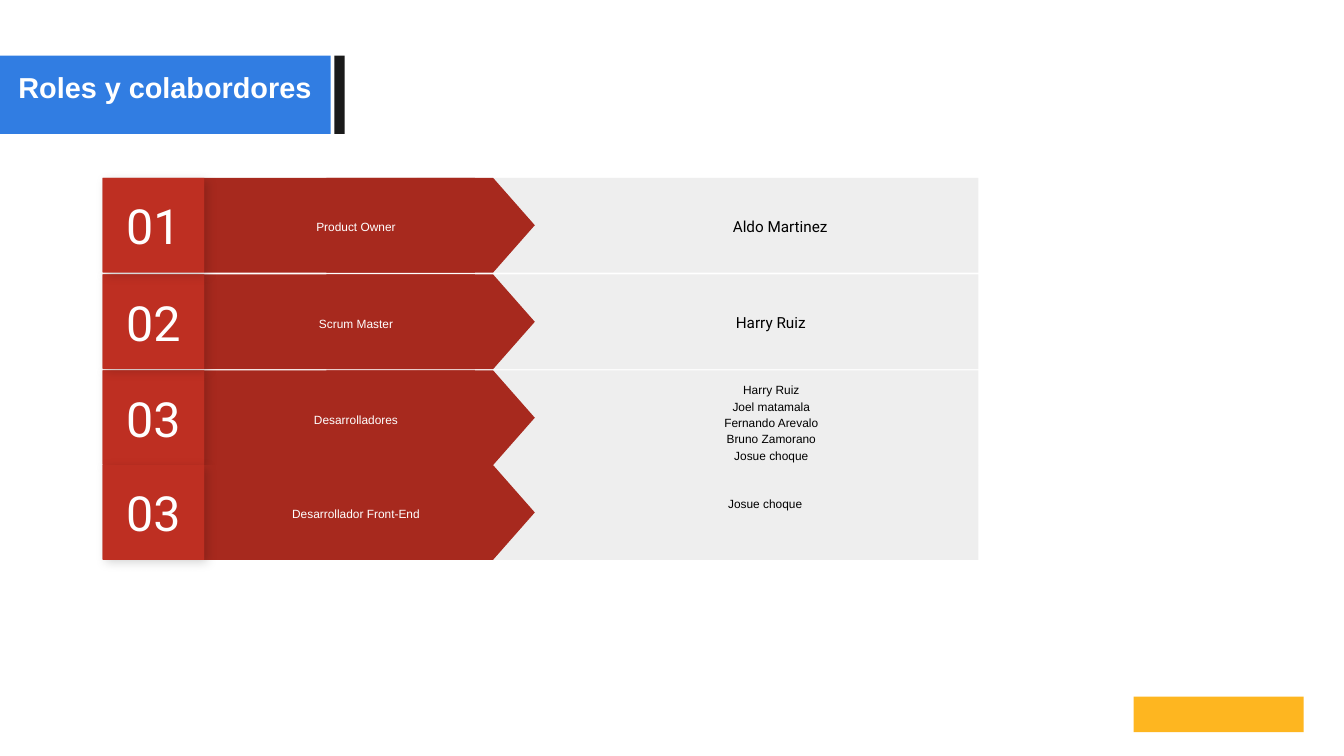
from dataclasses import dataclass

from lxml import etree
from pptx import Presentation
from pptx.dml.color import RGBColor
from pptx.enum.shapes import MSO_SHAPE
from pptx.enum.text import MSO_ANCHOR, PP_ALIGN
from pptx.oxml.ns import qn
from pptx.util import Inches, Pt

BLUE = RGBColor(0x31, 0x7D, 0xE2)
CHARCOAL = RGBColor(0x1A, 0x1A, 0x1A)
YELLOW = RGBColor(0xFE, 0xB6, 0x20)
DARK_RED = RGBColor(0xA7, 0x29, 0x1E)
SHADED_RED = RGBColor(0xB0, 0x2B, 0x20)
RED = RGBColor(0xBE, 0x2F, 0x22)
GREY = RGBColor(0xEE, 0xEE, 0xEE)
WHITE = RGBColor(0xFF, 0xFF, 0xFF)
BLACK = RGBColor(0x00, 0x00, 0x00)

ROW_HEIGHT = 1.55
NUMBER_LEFT, NUMBER_WIDTH = 1.68, 1.66
PADDING = 0.22


@dataclass
class Role:
    top: float
    number: str
    label: str
    people: list
    people_box: tuple
    people_font: str = "Arial"
    people_size: int = 14
    people_align: PP_ALIGN = PP_ALIGN.CENTER


# Listed from back to front; each row's shadow falls on the rows before it.
ROLES = [
    Role(6.06, "03", "Desarrolladores",
         ["Harry Ruiz", "Joel matamala", "Fernando Arevalo", "Bruno Zamorano", "Josue choque"],
         (9.6, 6.13, 6.04, 1.54)),
    Role(4.49, "02", "Scrum Master", ["Harry Ruiz"],
         (11.82, 4.49, 3.07, 1.54), "Roboto", 18, PP_ALIGN.LEFT),
    Role(2.91, "01", "Product Owner", ["Aldo Martinez"],
         (11.77, 2.92, 2.45, 1.54), "Roboto", 18, PP_ALIGN.LEFT),
    Role(7.61, "03", "Desarrollador Front-End", ["Josue choque"],
         (9.5, 7.61, 6.04, 1.24)),
]


def add_block(slide, box, color, kind=MSO_SHAPE.RECTANGLE):
    block = slide.shapes.add_shape(kind, *map(Inches, box))
    block.shadow.inherit = False
    block.fill.solid()
    block.fill.fore_color.rgb = color
    block.line.fill.background()
    return block


def write(shape, lines, font, size, color, align=PP_ALIGN.CENTER,
          spacing=1.0, padding=PADDING, anchor=MSO_ANCHOR.MIDDLE, bold=False):
    """Fill a shape with one paragraph per line."""
    frame = shape.text_frame
    frame.word_wrap = True
    frame.vertical_anchor = anchor
    frame.margin_left = frame.margin_right = Inches(padding)
    frame.margin_top = frame.margin_bottom = Inches(padding)
    for index, line in enumerate(lines):
        paragraph = frame.add_paragraph() if index else frame.paragraphs[0]
        paragraph.alignment = align
        paragraph.line_spacing = spacing
        run = paragraph.add_run()
        run.text = line
        run.font.name = font
        run.font.size = Pt(size)
        run.font.bold = bold
        run.font.color.rgb = color


def add_text(slide, box, lines, *style, **options):
    write(slide.shapes.add_textbox(*map(Inches, box)), lines, *style, **options)


def add_soft_shadow(shape):
    effects = shape.element.spPr.find(qn("a:effectLst"))
    shadow = etree.SubElement(effects, qn("a:outerShdw"), blurRad=str(Pt(12.4)),
                              dist=str(Pt(4.9)), dir=str(45 * 60000), rotWithShape="0")
    color = etree.SubElement(shadow, qn("a:srgbClr"), val=str(BLACK))
    etree.SubElement(color, qn("a:alpha"), val="17000")


def add_title(slide):
    add_block(slide, (0, 0.91, 5.41, 1.28), BLUE)
    add_block(slide, (5.47, 0.91, 0.17, 1.28), CHARCOAL)
    add_text(slide, (0.07, 1.14, 5.26, 0.57), ["Roles y colabordores"], "Arial", 34, WHITE,
             padding=0, anchor=MSO_ANCHOR.TOP, bold=True)


def add_role(slide, role):
    top = role.top
    add_block(slide, (6.82, top, 9.19, ROW_HEIGHT), GREY)
    add_block(slide, (3.34, top, 4.43, ROW_HEIGHT), DARK_RED)
    arrow = add_block(slide, (6.27, top - 0.93, ROW_HEIGHT, 3.41), DARK_RED,
                      MSO_SHAPE.FLOWCHART_OFFPAGE_CONNECTOR)
    arrow.rotation = 270
    add_text(slide, (3.49, top + 0.19, 4.67, 1.19), [role.label], "Arial", 14, WHITE,
             spacing=1.15)
    add_soft_shadow(add_block(slide, (NUMBER_LEFT, top, NUMBER_WIDTH, 1.54), SHADED_RED))
    number = add_block(slide, (NUMBER_LEFT, top, NUMBER_WIDTH, ROW_HEIGHT), RED)
    write(number, [role.number], "Roboto", 57, WHITE)
    add_text(slide, role.people_box, role.people, role.people_font, role.people_size, BLACK,
             align=role.people_align, spacing=1.15)


def main():
    deck = Presentation()
    deck.slide_width, deck.slide_height = Inches(21.99), Inches(12.37)
    slide = deck.slides.add_slide(deck.slide_layouts[6])
    add_block(slide, (18.55, 11.4, 2.78, 0.58), YELLOW)
    add_title(slide)
    for role in ROLES:
        add_role(slide, role)
    deck.save("out.pptx")


if __name__ == "__main__":
    main()
